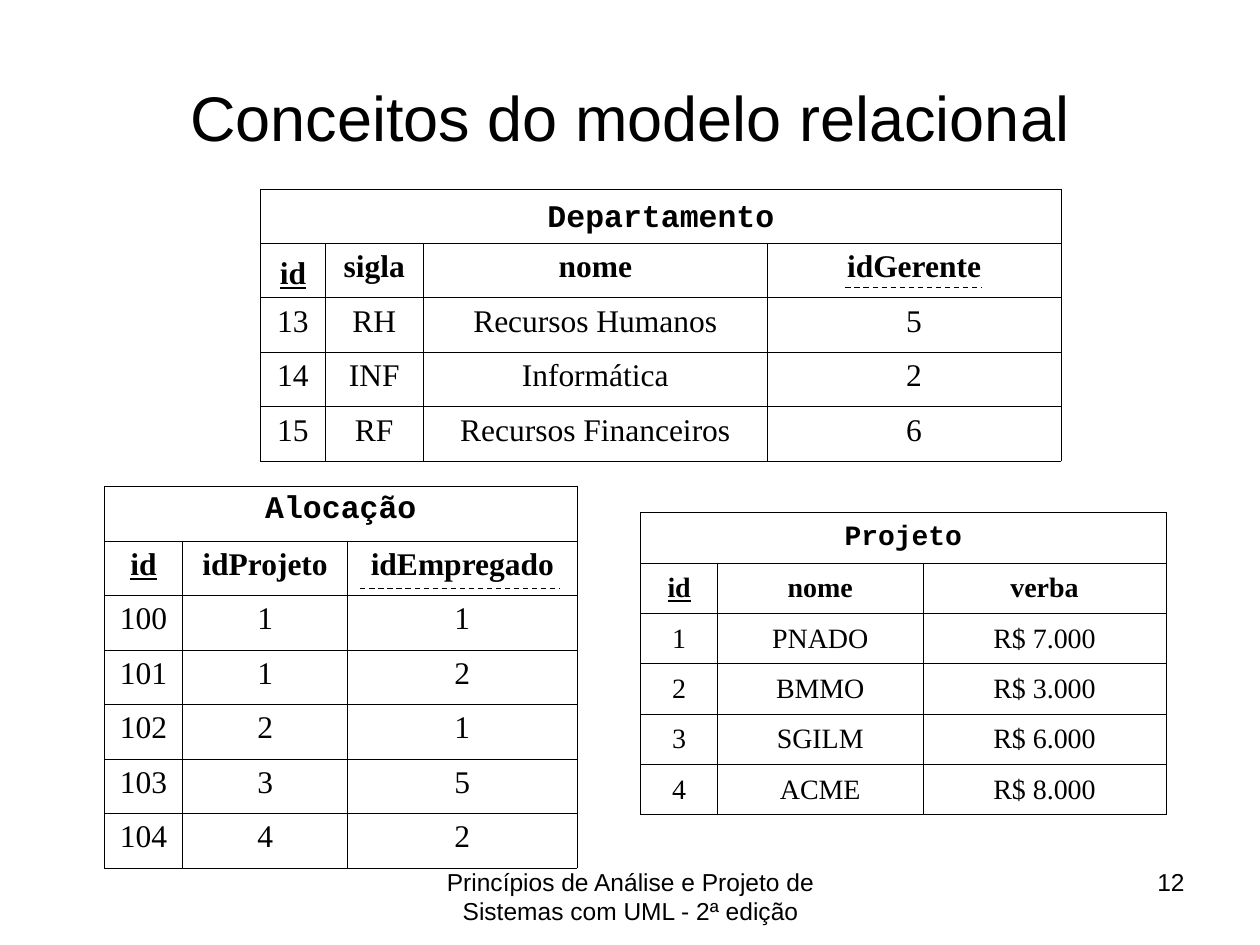
from dataclasses import dataclass

from lxml import etree
from pptx import Presentation
from pptx.dml.color import RGBColor
from pptx.enum.dml import MSO_LINE
from pptx.enum.shapes import MSO_CONNECTOR
from pptx.enum.text import MSO_ANCHOR, PP_ALIGN
from pptx.oxml.ns import qn
from pptx.util import Inches, Pt

SLIDE_W, SLIDE_H = Inches(10), Inches(7.5)
BLACK = RGBColor(0, 0, 0)
SANS, SERIF, MONO = "Arial", "Times New Roman", "Courier New"
TOP, MIDDLE, BOTTOM = MSO_ANCHOR.TOP, MSO_ANCHOR.MIDDLE, MSO_ANCHOR.BOTTOM
CENTER, RIGHT = PP_ALIGN.CENTER, PP_ALIGN.RIGHT
STRAIGHT, DASH = MSO_CONNECTOR.STRAIGHT, MSO_LINE.DASH
BORDER_WIDTH = Pt(0.45)
KEY_COLUMN = "id"


# All positions and sizes below are percentages of the slide's size
@dataclass(frozen=True)
class Relation:
    name: str
    left: float
    top: float
    columns: tuple[float, ...]
    row_height: float
    size: int
    header: tuple[str, ...]
    rows: tuple[tuple[str, ...], ...]
    anchor: MSO_ANCHOR = TOP
    name_anchor: MSO_ANCHOR = TOP
    key_anchor: MSO_ANCHOR = TOP


@dataclass(frozen=True)
class Caption:
    text: str
    left: float
    top: float
    width: float
    height: float
    size: int
    align: PP_ALIGN = CENTER
    anchor: MSO_ANCHOR = TOP


@dataclass(frozen=True)
class ForeignKeyMark:
    left: float
    right: float
    y: float


RELATIONS = (
    Relation("Departamento", 20.7, 20, (5.1, 7.8, 27.3, 23.3), 5.76, 18,
             (KEY_COLUMN, "sigla", "nome", "idGerente"),
             (("13", "RH", "Recursos Humanos", "5"),
              ("14", "INF", "Informática", "2"),
              ("15", "RF", "Recursos Financeiros", "6")),
             name_anchor=BOTTOM, key_anchor=BOTTOM),
    Relation("Projeto", 50.85, 54.25, (6.1, 16.3, 19.3), 5.33, 16,
             (KEY_COLUMN, "nome", "verba"),
             (("1", "PNADO", "R$ 7.000"),
              ("2", "BMMO", "R$ 3.000"),
              ("3", "SGILM", "R$ 6.000"),
              ("4", "ACME", "R$ 8.000")),
             MIDDLE, MIDDLE, MIDDLE),
    Relation("Alocação", 8.3, 51.47, (6.2, 13.1, 18.2), 5.77, 18,
             (KEY_COLUMN, "idProjeto", "idEmpregado"),
             (("100", "1", "1"),
              ("101", "1", "2"),
              ("102", "2", "1"),
              ("103", "3", "5"),
              ("104", "4", "2"))),
)

CAPTIONS = (
    Caption("Conceitos do modelo relacional", 5, 4, 90, 16.67, 36, anchor=MIDDLE),
    Caption("Princípios de Análise e Projeto de Sistemas com UML - 2ª edição",
            34.2, 91.07, 31.7, 6.93, 14),
    Caption("12", 71.7, 91.07, 23.3, 6.93, 14, RIGHT),
)

FOREIGN_KEYS = (
    ForeignKeyMark(28.6, 44.4, 62.27),
    ForeignKeyMark(67.1, 77.9, 30.4),
)


def across(percent: float) -> int:
    return round(SLIDE_W * percent / 100)


def down(percent: float) -> int:
    return round(SLIDE_H * percent / 100)


def style_font(paragraph, face: str, size: int, bold: bool = False) -> None:
    font = paragraph.font
    font.name, font.size, font.bold = face, Pt(size), bold
    font.color.rgb = BLACK


def add_borders(cell) -> None:
    properties = cell._tc.get_or_add_tcPr()
    for side in ("lnL", "lnR", "lnT", "lnB"):
        line = etree.SubElement(properties, qn(f"a:{side}"), w=str(BORDER_WIDTH))
        fill = etree.SubElement(line, qn("a:solidFill"))
        etree.SubElement(fill, qn("a:srgbClr"), val=str(BLACK))


def write_cell(cell, text: str, face: str, size: int, bold: bool,
               anchor: MSO_ANCHOR) -> None:
    cell.text = text
    cell.vertical_anchor = anchor
    paragraph = cell.text_frame.paragraphs[0]
    paragraph.alignment = CENTER
    style_font(paragraph, face, size, bold)
    if text == KEY_COLUMN:
        paragraph.font.underline = True


def add_relation(slide, relation: Relation) -> None:
    body = (relation.header, *relation.rows)
    row_count, column_count = len(body) + 1, len(relation.columns)
    table = slide.shapes.add_table(
        row_count, column_count, across(relation.left), down(relation.top),
        across(sum(relation.columns)), down(relation.row_height * row_count)).table
    table.first_row = table.horz_banding = False
    for column, width in zip(table.columns, relation.columns):
        column.width = across(width)
    for row in table.rows:
        row.height = down(relation.row_height)
    for cell in table.iter_cells():
        add_borders(cell)
        cell.fill.background()

    # Relation name across the full width
    name_cell = table.cell(0, 0)
    name_cell.merge(table.cell(0, column_count - 1))
    write_cell(name_cell, relation.name, MONO, relation.size, True,
               relation.name_anchor)

    # Attribute names, then the tuples
    for r, values in enumerate(body, start=1):
        for c, value in enumerate(values):
            anchor = relation.key_anchor if value == KEY_COLUMN else relation.anchor
            write_cell(table.cell(r, c), value, SERIF, relation.size, r == 1, anchor)


def add_caption(slide, caption: Caption) -> None:
    frame = slide.shapes.add_textbox(
        across(caption.left), down(caption.top),
        across(caption.width), down(caption.height)).text_frame
    frame.word_wrap = True
    frame.vertical_anchor = caption.anchor
    paragraph = frame.paragraphs[0]
    paragraph.text = caption.text
    paragraph.alignment = caption.align
    style_font(paragraph, SANS, caption.size)


def add_foreign_key(slide, mark: ForeignKeyMark) -> None:
    underline = slide.shapes.add_connector(
        STRAIGHT, across(mark.left), down(mark.y), across(mark.right), down(mark.y))
    underline.line.color.rgb = BLACK
    underline.line.width = Pt(0.75)
    underline.line.dash_style = DASH
    etree.SubElement(underline._element.spPr, qn("a:effectLst"))


def main() -> None:
    presentation = Presentation()
    presentation.slide_width, presentation.slide_height = SLIDE_W, SLIDE_H
    slide = presentation.slides.add_slide(presentation.slide_layouts[6])
    title, *footer = CAPTIONS
    add_caption(slide, title)
    for relation in RELATIONS:
        add_relation(slide, relation)
    for mark in FOREIGN_KEYS:
        add_foreign_key(slide, mark)
    for caption in footer:
        add_caption(slide, caption)
    presentation.save("out.pptx")


if __name__ == "__main__":
    main()
